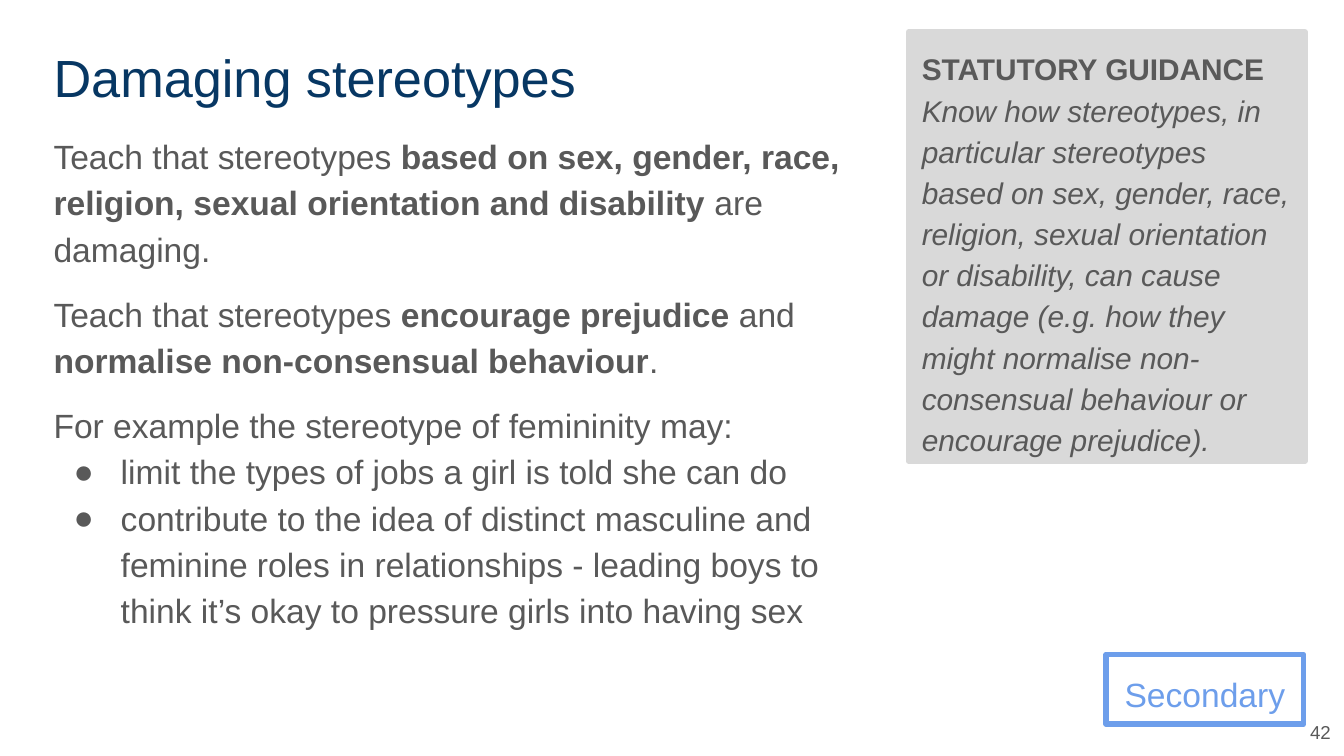
from lxml.etree import SubElement
from pptx import Presentation
from pptx.dml.color import RGBColor
from pptx.enum.shapes import MSO_SHAPE
from pptx.enum.text import MSO_ANCHOR, PP_ALIGN
from pptx.oxml.ns import qn
from pptx.util import Pt

# Each paragraph is a list of (text, style) runs; style holds "b" and/or "i".
TITLE = [[("Damaging stereotypes", "")]]
TEACHING = [
    [("Teach that stereotypes", ""),
     (" based on sex, gender, race, religion, sexual orientation and disability", "b"),
     (" are damaging.", "")],
    [("Teach that stereotypes ", ""), ("encourage prejudice", "b"), (" and ", ""),
     ("normalise non-consensual behaviour", "b"), (".", "")],
    [("For example the stereotype of femininity may:", "")],
]
EXAMPLES = [
    [("limit the types of jobs a girl is told she can do", "")],
    [("contribute to the idea of distinct masculine and feminine roles in relationships"
      " - leading boys to think it’s okay to pressure girls into having sex", "")],
]
GUIDANCE = [
    [("STATUTORY GUIDANCE", "b")],
    [("Know how stereotypes, in particular stereotypes based on sex, gender, race, "
      "religion, sexual orientation or disability, can cause damage (e.g. how they might "
      "normalise non-consensual behaviour or encourage prejudice).", "i")],
]
PHASE = [[("Secondary", "")]]
PAGE = [[("42", "")]]

THEME = {
    "font": "Arial",
    "navy": "073763", "grey": "595959", "panel": "D9D9D9", "blue": "6D9EEB",
    "title": 28, "body": 18, "note": 16, "page": 10,
}
LEFT, TOP, COLUMN_W = 21.6, 17.3, 461.5
TITLE_H = 45


def add_bullet(p, color):
    pPr = p._p.get_or_add_pPr()
    pPr.set("marL", str(Pt(36)))
    pPr.set("indent", str(Pt(-25.2)))
    clr = SubElement(pPr, qn("a:buClr"))
    SubElement(clr, qn("a:srgbClr"), val=color)
    SubElement(pPr, qn("a:buFont"), typeface=THEME["font"])
    SubElement(pPr, qn("a:buChar"), char="●")


def write(sp, paragraphs, size, color="grey", align=PP_ALIGN.LEFT,
          anchor=MSO_ANCHOR.TOP, spacing=1.15, gap=0, bullets=()):
    """Fill a shape with paragraphs, then bullets; gap separates the paragraphs."""
    tf = sp.text_frame
    tf.word_wrap = True
    tf.vertical_anchor = anchor
    tf.margin_left = tf.margin_right = tf.margin_top = tf.margin_bottom = Pt(7.2)
    for i, runs in enumerate([*paragraphs, *bullets]):
        p = tf.add_paragraph() if i else tf.paragraphs[0]
        is_bullet = i >= len(paragraphs)
        if is_bullet:
            add_bullet(p, THEME[color])
        p.alignment = align
        p.line_spacing = spacing
        p.space_before = Pt(gap if i and not is_bullet else 0)
        for text, style in runs:
            r = p.add_run()
            r.text = text
            r.font.name = THEME["font"]
            r.font.size = Pt(THEME[size])
            r.font.bold = "b" in style
            r.font.italic = "i" in style
            r.font.color.rgb = RGBColor.from_string(THEME[color])


def add_text(slide, x, y, w, h, paragraphs, size, **fmt):
    sp = slide.shapes.add_textbox(Pt(x), Pt(y), Pt(w), Pt(h))
    write(sp, paragraphs, size, **fmt)


def add_box(slide, x, y, w, h, paragraphs, size, line, fill=None, **fmt):
    sp = slide.shapes.add_shape(MSO_SHAPE.RECTANGLE, Pt(x), Pt(y), Pt(w), Pt(h))
    sp.shadow.inherit = False
    if fill:
        sp.fill.solid()
        sp.fill.fore_color.rgb = RGBColor.from_string(THEME[fill])
    else:
        sp.fill.background()
    sp.line.color.rgb = RGBColor.from_string(THEME[line])
    sp.line.width = Pt(3)
    SubElement(sp.line._get_or_add_ln(), qn("a:round"))
    write(sp, paragraphs, size, **fmt)


def main():
    prs = Presentation()
    prs.slide_width, prs.slide_height = Pt(720), Pt(405)
    slide = prs.slides.add_slide(prs.slide_layouts[6])

    add_text(slide, LEFT, TOP + TITLE_H, COLUMN_W, 288.7, TEACHING, "body",
             gap=10, bullets=EXAMPLES)
    add_text(slide, LEFT, TOP, COLUMN_W, TITLE_H, TITLE, "title",
             color="navy", spacing=1)
    add_text(slide, 691.9, 378.7, 28.1, 26.6, PAGE, "page",
             align=PP_ALIGN.RIGHT, anchor=MSO_ANCHOR.MIDDLE, spacing=1)
    add_box(slide, 592.6, 350.6, 105.8, 37.4, PHASE, "body", line="blue",
            color="blue", align=PP_ALIGN.CENTER)
    add_box(slide, 486.7, TOP, 212.4, 229.7, GUIDANCE, "note", line="panel",
            fill="panel")
    prs.save("out.pptx")


if __name__ == "__main__":
    main()
